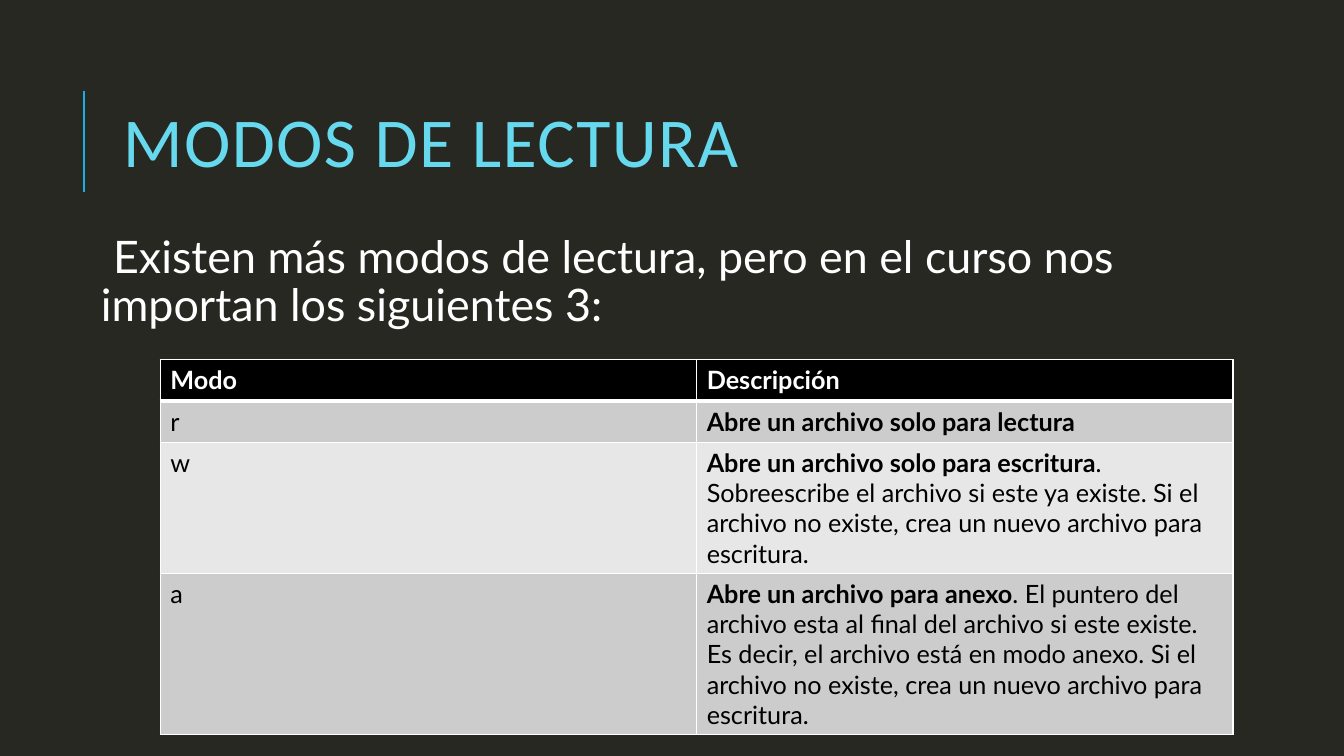
from lxml.etree import SubElement as Sub, Element
from pptx import Presentation
from pptx.dml.color import RGBColor as RGB
from pptx.enum.shapes import MSO_CONNECTOR as Conn
from pptx.enum.text import MSO_ANCHOR as Anchor
from pptx.oxml.ns import qn
from pptx.util import Inches, Pt

TITLE = "MODOS DE LECTURA"
INTRO = ("Existen más modos de lectura, pero en el curso nos "
         "importan los siguientes 3:")
# Each cell is a list of (text, bold) runs.
ROWS = [
    ([("Modo", True)], [("Descripción", True)]),
    ([("r", False)], [("Abre un archivo solo para lectura", True)]),
    ([("w", False)],
     [("Abre un archivo solo para escritura", True),
      (". Sobreescribe el archivo si este ya existe. Si el archivo no "
       "existe, crea un nuevo archivo para escritura.", False)]),
    ([("a", False)],
     [("Abre un archivo para anexo", True),
      (". El puntero del archivo esta al final del archivo si este existe. "
       "Es decir, el archivo está en modo anexo. Si el archivo no existe, "
       "crea un nuevo archivo para escritura.", False)]),
]
COLORS = {"back": "272821", "title": "66D9EF", "accent": "1CADE4",
          "white": "FFFFFF", "black": "000000",
          "odd": "CCCCCC", "even": "E7E7E7"}


def color(name):
    """Return the named colour."""
    return RGB.from_string(COLORS[name])


def add_run(para, text, size, font, ink, bold=False):
    """Add one styled run to a paragraph."""
    run = para.add_run()
    run.text = text
    run.font.size, run.font.name, run.font.bold = Pt(size), font, bold
    run.font.color.rgb = color(ink)
    return run


def add_box(slide, left, top, width, height, inset, anchor):
    """Add a wrapping text box and return its frame."""
    box = slide.shapes.add_textbox(*map(Inches, (left, top, width, height)))
    frame = box.text_frame
    frame.word_wrap = True
    frame.vertical_anchor = anchor
    frame.margin_left = frame.margin_right = Inches(inset)
    frame.margin_top = frame.margin_bottom = Inches(0.05)
    return frame


def add_title(slide):
    """Add the heading and the rule at its left."""
    rule = slide.shapes.add_connector(
        Conn.STRAIGHT, *map(Inches, (0.83, 1.9, 0.83, 0.9)))
    rule.line.color.rgb = color("accent")
    rule.line.width = Pt(1.5)
    Sub(rule._element.spPr, qn("a:effectLst"))
    frame = add_box(slide, 1.12, 0.64, 10.63, 1.64, 0.1, Anchor.MIDDLE)
    para = frame.paragraphs[0]
    para.line_spacing = 0.8
    run = add_run(para, TITLE, 50, "Calibri", "title")
    run.font._element.set("spc", "100")


def add_borders(cell, head):
    """Draw white cell borders, thicker under the header."""
    props = cell._tc.get_or_add_tcPr()
    for spot, side in enumerate("LRTB"):
        line = Element(qn("a:ln" + side))
        line.set("w", str(Pt(3 if head and side == "B" else 1)))
        fill = Sub(line, qn("a:solidFill"))
        Sub(fill, qn("a:srgbClr")).set("val", COLORS["white"])
        props.insert(spot, line)


def add_modes(slide):
    """Add the table of modes."""
    high = 0.41
    table = slide.shapes.add_table(
        len(ROWS), 2, Inches(1.59), Inches(3.57),
        Inches(10.64), Inches(high * len(ROWS))).table
    for r, row in enumerate(ROWS):
        table.rows[r].height = Inches(high)
        shade = "black" if r == 0 else "odd" if r % 2 else "even"
        for c, runs in enumerate(row):
            cell = table.cell(r, c)
            cell.fill.solid()
            cell.fill.fore_color.rgb = color(shade)
            # The first body row shares its top edge with the header.
            add_borders(cell, r == 0)
            if r == 1:
                cell._tc.tcPr.find(qn("a:lnT")).set("w", str(Pt(3)))
            for text, bold in runs:
                add_run(cell.text_frame.paragraphs[0], text, 18, "Lato",
                        "black" if r else "white", bold)


def add_intro(slide):
    """Add the sentence above the table."""
    frame = add_box(slide, 0.85, 2.28, 11.88, 4.4, 0.05, Anchor.TOP)
    para = frame.paragraphs[0]
    para.line_spacing = 0.9
    para.space_before, para.space_after = Pt(12), Pt(2)
    props = para._p.get_or_add_pPr()
    props.set("marL", str(Inches(0.1)))
    props.set("indent", str(Inches(-0.1)))
    tint = Sub(props, qn("a:buClr"))
    Sub(tint, qn("a:srgbClr")).set("val", COLORS["accent"])
    Sub(props, qn("a:buChar")).set("char", " ")
    add_run(para, INTRO, 32, "Lato", "white")


deck = Presentation()
deck.slide_width, deck.slide_height = Inches(13.33), Inches(7.5)
slide = deck.slides.add_slide(deck.slide_layouts[6])
slide.background.fill.solid()
slide.background.fill.fore_color.rgb = color("back")
add_title(slide)
add_modes(slide)
add_intro(slide)
deck.save("out.pptx")
